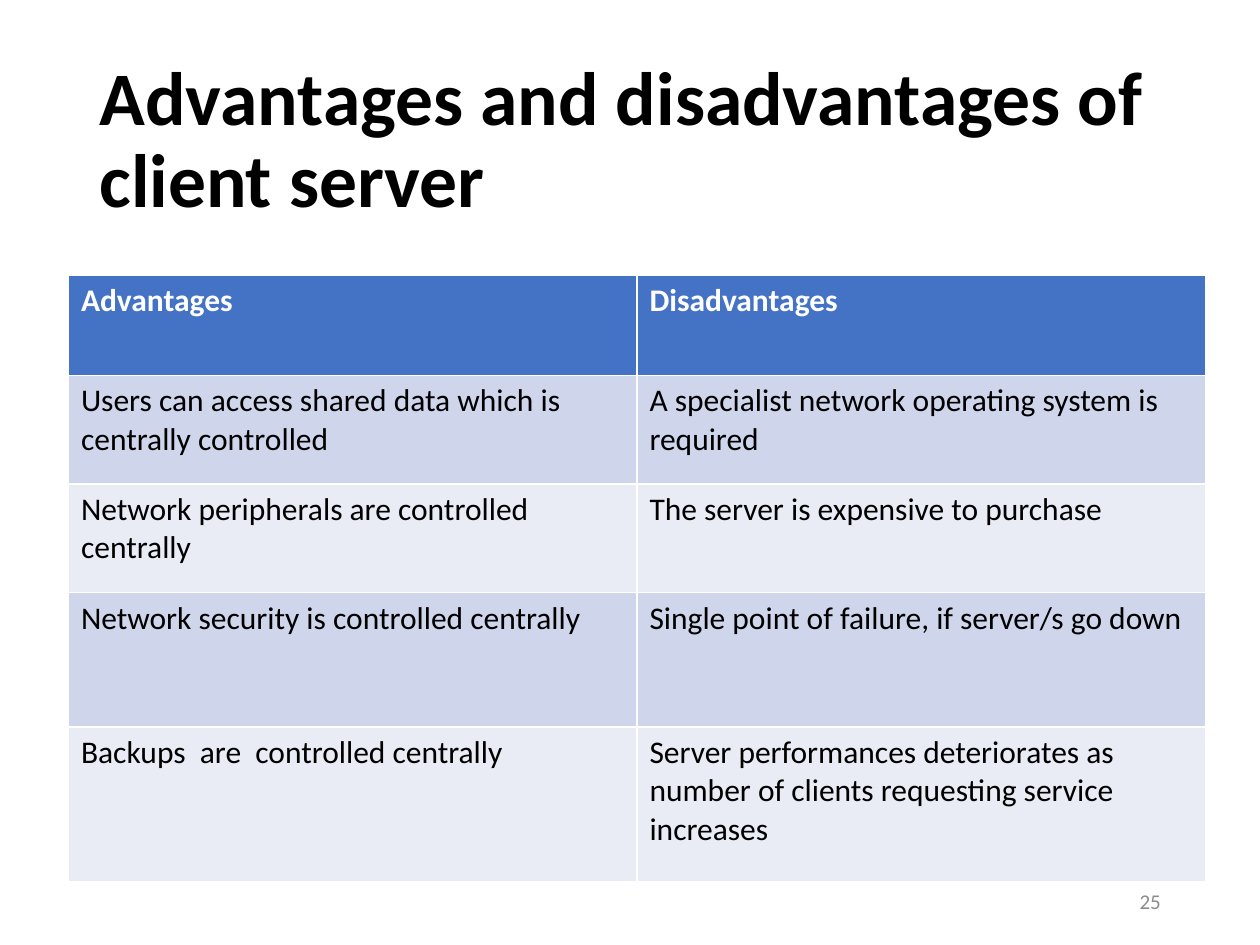
from pptx import Presentation
from pptx.dml.color import RGBColor
from pptx.enum.text import MSO_ANCHOR, MSO_AUTO_SIZE, PP_ALIGN
from pptx.util import Cm, Pt

LEFT, RIGHT = PP_ALIGN.LEFT, PP_ALIGN.RIGHT
MIDDLE = MSO_ANCHOR.MIDDLE
NO_AUTOFIT = MSO_AUTO_SIZE.NONE

BLACK = RGBColor(0x00, 0x00, 0x00)
WHITE = RGBColor(0xFF, 0xFF, 0xFF)
GREY = RGBColor(0x8C, 0x8C, 0x8C)
HEADER_BLUE = RGBColor(0x44, 0x72, 0xC4)
BANDS = [RGBColor(0xE9, 0xEB, 0xF5), RGBColor(0xCF, 0xD5, 0xEA)]

ROWS = [
    ("Advantages", "Disadvantages"),
    ("Users can access shared data which is centrally controlled",
     "A specialist network operating system is required"),
    ("Network peripherals are controlled centrally",
     "The server is expensive to purchase"),
    ("Network security is controlled centrally",
     "Single point of failure, if server/s go down"),
    ("Backups  are  controlled centrally",
     "Server performances deteriorates as number of clients requesting service increases"),
]
ROW_HEIGHTS = [2.03, 2.19, 2.19, 2.71, 3.12]
COLUMN_WIDTH = 11.46


def style_paragraph(para, size, color, bold=False, align=LEFT):
    para.alignment = align
    para.font.name = "Calibri"
    para.font.size = Pt(size)
    para.font.bold = bold
    para.font.color.rgb = color


deck = Presentation()
deck.slide_width, deck.slide_height = Cm(25.4), Cm(19.05)
page = deck.slides.add_slide(deck.slide_layouts[5])

# Title
title = page.shapes.title
title.left, title.top, title.width, title.height = Cm(1.75), Cm(1.02), Cm(21.9), Cm(3.68)
frame = title.text_frame
frame.text = "Advantages and disadvantages of client server"
frame.auto_size = NO_AUTOFIT
frame.vertical_anchor = MIDDLE
frame.paragraphs[0].line_spacing = 0.9
style_paragraph(frame.paragraphs[0], 43.2, BLACK, bold=True)

# Comparison table; white borders come from the default table style
table = page.shapes.add_table(
    len(ROWS), 2, Cm(1.38), Cm(5.54), Cm(2 * COLUMN_WIDTH), Cm(sum(ROW_HEIGHTS))
).table
for column in table.columns:
    column.width = Cm(COLUMN_WIDTH)
for row_index, (texts, height) in enumerate(zip(ROWS, ROW_HEIGHTS)):
    table.rows[row_index].height = Cm(height)
    is_header = row_index == 0
    for column_index, text in enumerate(texts):
        cell = table.cell(row_index, column_index)
        cell.text = text
        cell.fill.solid()
        cell.fill.fore_color.rgb = HEADER_BLUE if is_header else BANDS[row_index % 2]
        style_paragraph(cell.text_frame.paragraphs[0], 18,
                        WHITE if is_header else BLACK, bold=is_header)

# Page number
number_box = page.shapes.add_textbox(Cm(17.93), Cm(17.65), Cm(5.72), Cm(1.02))
frame = number_box.text_frame
frame.word_wrap = True
frame.vertical_anchor = MIDDLE
frame.text = "25"
style_paragraph(frame.paragraphs[0], 12, GREY, align=RIGHT)

deck.save("out.pptx")
